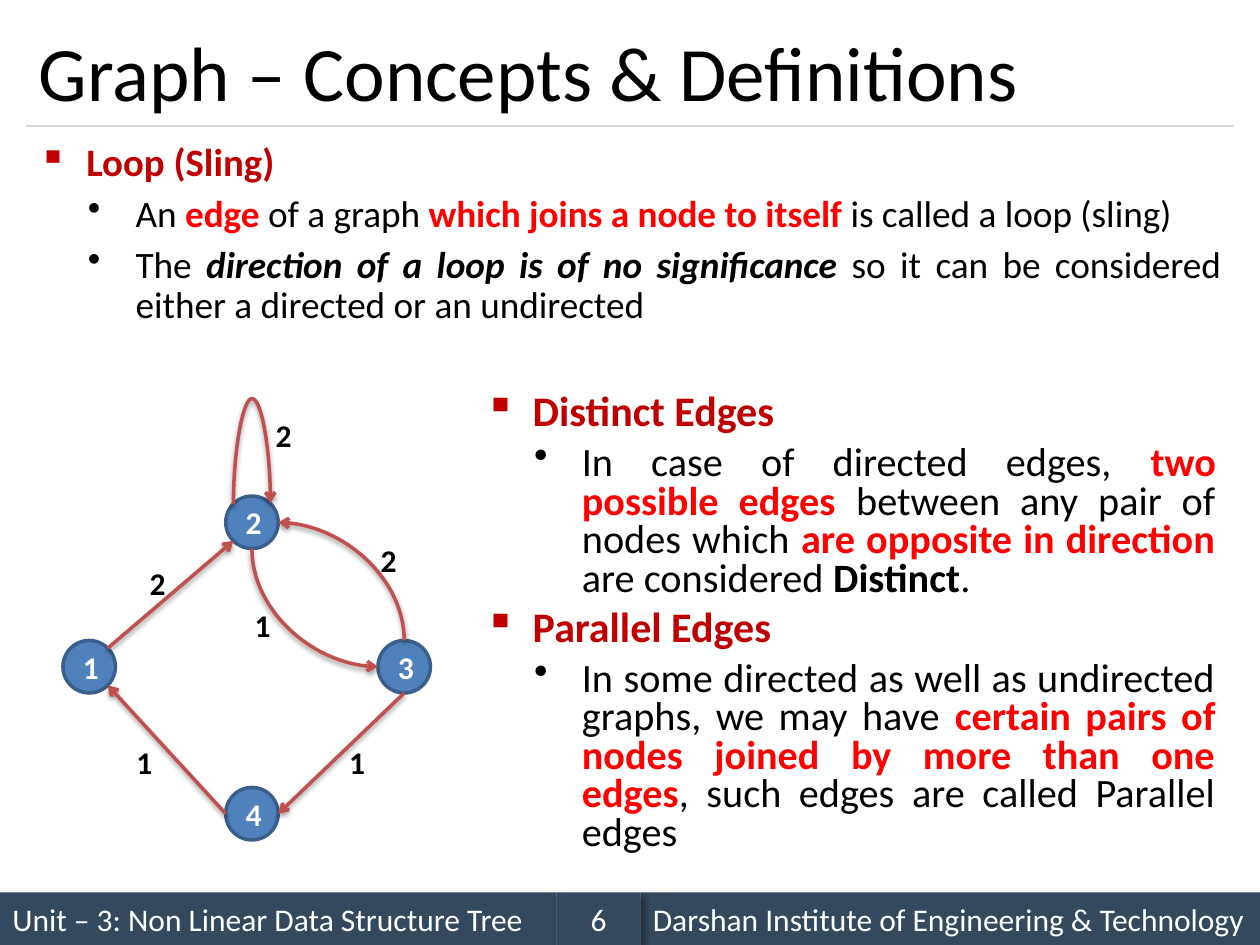
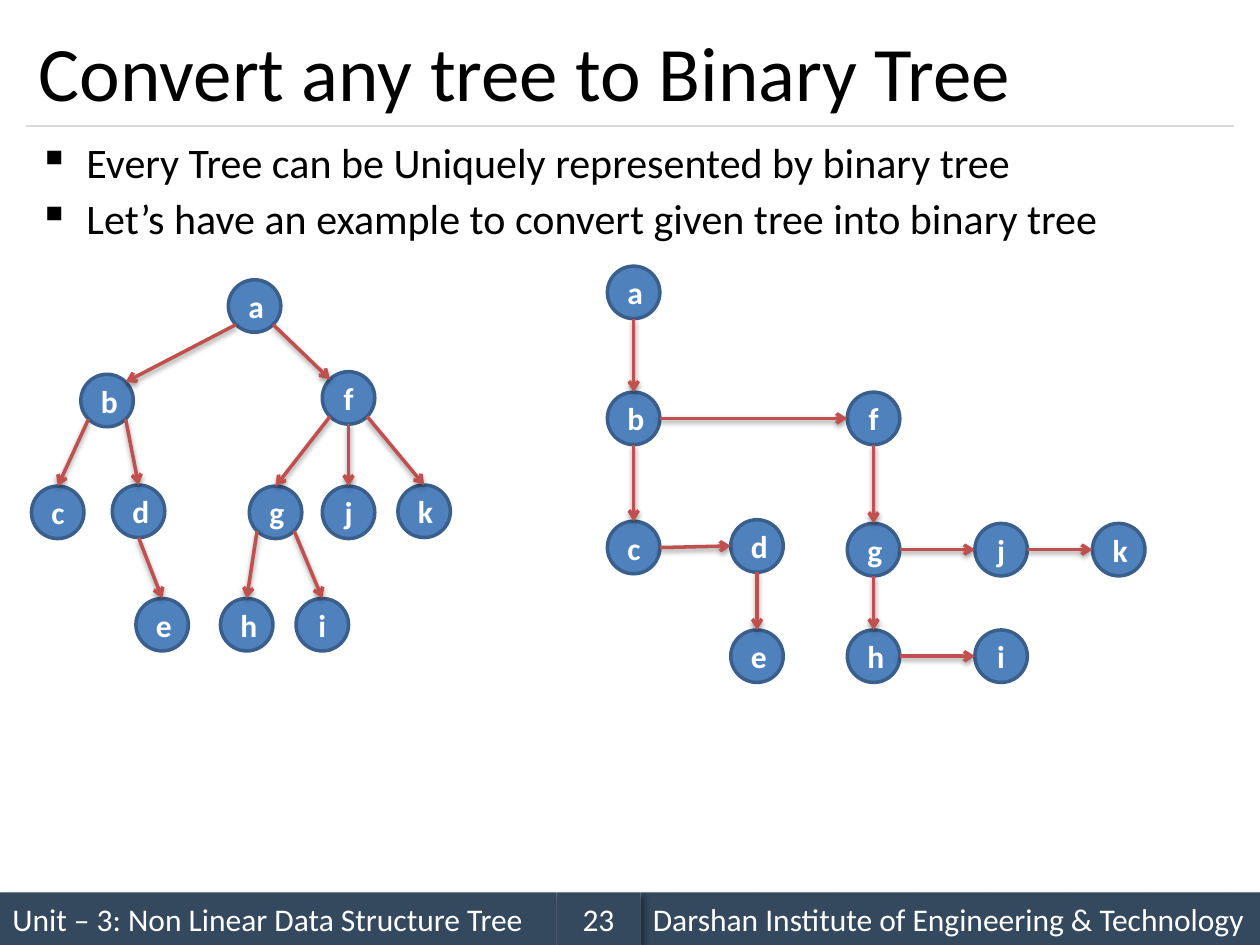
"""Build two lecture slides on graphs and trees."""
from dataclasses import dataclass
from typing import NamedTuple

from lxml.etree import SubElement
from pptx import Presentation
from pptx.dml.color import RGBColor
from pptx.enum.shapes import MSO_CONNECTOR, MSO_SHAPE
from pptx.enum.text import MSO_ANCHOR, MSO_AUTO_SIZE, PP_ALIGN
from pptx.oxml.ns import qn
from pptx.util import Inches, Pt

RECT, OVAL = MSO_SHAPE.RECTANGLE, MSO_SHAPE.OVAL
LINE, CURVE = MSO_CONNECTOR.STRAIGHT, MSO_CONNECTOR.CURVE
LEFT, MID, FULL = PP_ALIGN.LEFT, PP_ALIGN.CENTER, PP_ALIGN.JUSTIFY
CENTER = MSO_ANCHOR.MIDDLE
GROW = MSO_AUTO_SIZE.SHAPE_TO_FIT_TEXT

WIDE, HIGH = Inches(10), Inches(7.5)
COLS, ROWS = 240, 180
RAD = 5
DIAG = RAD * 0.5 ** 0.5
SIDES = {"n": (0, -RAD), "s": (0, RAD), "w": (-RAD, 0), "e": (RAD, 0),
         "nw": (-DIAG, -DIAG), "ne": (DIAG, -DIAG),
         "sw": (-DIAG, DIAG), "se": (DIAG, DIAG)}
Point = tuple[float, float]


@dataclass(frozen=True)
class Theme:
    """Hold the colours and type sizes."""
    font: str = "Calibri"
    ink: str = "000000"
    paper: str = "FFFFFF"
    bar: str = "34495E"
    rule: str = "D9D9D9"
    node: str = "4F81BD"
    rim: str = "3A5F8C"
    edge: str = "C0504D"
    head: str = "C00000"
    key: str = "FF0000"
    title: float = 44
    small: float = 18


class Box(NamedTuple):
    """Place a shape in grid columns and rows."""
    x: float
    y: float
    w: float
    h: float


class Look(NamedTuple):
    """Describe the style of a run."""
    color: str
    bold: bool = False
    slant: bool = False


class Shade(NamedTuple):
    """Describe an outer shadow."""
    alpha: int
    blur: float
    dist: float
    angle: int


class Para(NamedTuple):
    """Describe a bulleted paragraph."""
    level: int
    size: float
    runs: list[tuple[str, Look]]


class Edge(NamedTuple):
    """Join a side of one node to a side of another."""
    start: str
    out: str
    end: str
    into: str


class Label(NamedTuple):
    """Place the weight of an edge."""
    text: str
    x: float
    y: float


T = Theme()
PLAIN, HEAD, KEY = Look(T.ink), Look(T.head, True), Look(T.key, True)
BOLD, SLANT = Look(T.ink, True), Look(T.ink, True, True)
BARSHADE, EDGESHADE = Shade(40, 4, 3, 45), Shade(38, 3.1, 1.6, 90)

UNIT = "Unit – 3: Non Linear Data Structure Tree"
SCHOOL = "Darshan Institute of Engineering & Technology"

LOOP = [
    Para(0, 22.2, [("Loop (Sling)", HEAD)]),
    Para(1, 21.3, [("An ", PLAIN), ("edge", KEY), (" of a graph ", PLAIN),
                   ("which joins a node to itself ", KEY),
                   ("is called a loop (sling)", PLAIN)]),
    Para(1, 21.3, [("The", PLAIN),
                   (" direction of a loop is of no significance", SLANT),
                   (" so it can be considered either a directed or an "
                    "undirected", PLAIN)])]
PAIRS = [
    Para(0, 24, [("Distinct Edges", HEAD)]),
    Para(1, 23, [("In case of directed edges,", PLAIN),
                 (" two possible edges", KEY),
                 (" between any pair of nodes which ", PLAIN),
                 ("are opposite in direction ", KEY),
                 ("are considered ", PLAIN), ("Distinct", BOLD),
                 (".", PLAIN)]),
    Para(0, 24, [("Parallel Edges", HEAD)]),
    Para(1, 23, [("In some directed as well as undirected graphs, "
                  "we may have ", PLAIN),
                 ("certain pairs of nodes joined by more than one edges", KEY),
                 (", such edges are called Parallel edges", PLAIN)])]
INTRO = [Para(0, 24, [(text, PLAIN)]) for text in (
    "Every Tree can be Uniquely represented by binary tree",
    "Let’s have an example to convert given tree into binary tree")]

GRAPH = {"1": (17, 127), "2": (48, 99.5), "3": (77, 127), "4": (48, 155)}
PATHS = [Edge("1", "ne", "2", "sw"), Edge("4", "w", "1", "se"),
         Edge("3", "s", "4", "e")]
ARCS = [Edge("2", "e", "3", "n"), Edge("3", "w", "2", "s")]
COSTS = [Label("2", 26, 106.3), Label("2", 70, 101.8), Label("1", 46, 114.2),
         Label("1", 64, 140.4), Label("1", 23.5, 140.4), Label("2", 50, 78)]

TREE = {"a": (48.5, 58.3), "b": (20.4, 76.3), "f": (66.4, 75.8),
        "c": (11, 97.6), "d": (26.4, 97.4), "g": (52.5, 97.6),
        "j": (66.4, 97.6), "k": (80.8, 97.4), "e": (30.9, 119),
        "h": (47, 119), "i": (61.4, 119)}
LIMBS = [Edge("a", "sw", "b", "ne"), Edge("a", "se", "f", "nw")] + [
    Edge(top, out, leaf, "n") for top, out, leaf in (
        ("b", "sw", "c"), ("b", "se", "d"), ("f", "sw", "g"), ("f", "s", "j"),
        ("f", "se", "k"), ("g", "sw", "h"), ("g", "se", "i"), ("d", "s", "e"))]

C1, C2, C3, C4, C5 = 120.7, 144.2, 166.4, 190.7, 213.1
R1, R2, R3, R4 = 55.7, 79.7, 104.7, 125
BINARY = {"a": (C1, R1), "b": (C1, R2), "f": (C3, R2), "c": (C1, 104.3),
          "d": (C2, 104), "g": (C3, R3), "j": (C4, R3), "k": (C5, R3),
          "e": (C2, R4), "h": (C3, R4), "i": (C4, R4)}
LINKS = ([Edge(*pair[:1], "s", pair[1], "n") for pair in
          ("ab", "bc", "fg", "gh", "de")]
         + [Edge(*pair[:1], "e", pair[1], "w") for pair in
            ("bf", "cd", "gj", "jk", "hi")])


def col(n: float) -> int:
    """Turn grid columns into a length."""
    return round(WIDE * n / COLS)


def row(n: float) -> int:
    """Turn grid rows into a length."""
    return round(HIGH * n / ROWS)


def place(box: Box) -> tuple[int, int, int, int]:
    """Turn a grid box into lengths."""
    return col(box.x), row(box.y), col(box.w), row(box.h)


def ink(run, size: float, look: Look) -> None:
    """Format one run."""
    font = run.font
    font.name, font.size = T.font, Pt(size)
    font.bold, font.italic = look.bold, look.slant
    font.color.rgb = RGBColor.from_string(look.color)


def label(frame, text: str, size: float, look: Look, align=MID) -> None:
    """Write one line of text in a frame."""
    frame.text = text
    para = frame.paragraphs[0]
    para.alignment = align
    ink(para.runs[0], size, look)


def cast(item, shade: Shade | None) -> None:
    """Give an item its own shadow, or none."""
    props = item.element.spPr
    for old in props.findall(qn("a:effectLst")):
        props.remove(old)
    effects = SubElement(props, qn("a:effectLst"))
    if shade:
        outer = SubElement(
            effects, qn("a:outerShdw"), blurRad=str(Pt(shade.blur)),
            dist=str(Pt(shade.dist)), dir=str(shade.angle * 60000),
            algn="ctr", rotWithShape="0")
        tint = SubElement(outer, qn("a:srgbClr"), val=T.ink)
        SubElement(tint, qn("a:alpha"), val=str(shade.alpha * 1000))


def solid(slide, kind, box: Box, fill: str):
    """Draw a filled shape without a shadow."""
    shape = slide.shapes.add_shape(kind, *place(box))
    shape.shadow.inherit = False
    shape.fill.solid()
    shape.fill.fore_color.rgb = RGBColor.from_string(fill)
    shape.text_frame.vertical_anchor = CENTER
    return shape


def wire(slide, kind, start: Point, end: Point, color: str, width: float):
    """Draw a connector without a shadow."""
    line = slide.shapes.add_connector(
        kind, col(start[0]), row(start[1]), col(end[0]), row(end[1]))
    line.line.color.rgb = RGBColor.from_string(color)
    line.line.width = Pt(width)
    cast(line, None)
    return line


def arrow(slide, kind, start: Point, end: Point, tip: str = "tailEnd"):
    """Draw an edge with an arrowhead."""
    line = wire(slide, kind, start, end, T.edge, 2)
    SubElement(line.element.spPr.find(qn("a:ln")), qn(f"a:{tip}"), type="arrow")
    cast(line, EDGESHADE)
    return line


def port(nodes: dict[str, Point], name: str, side: str) -> Point:
    """Find a point on the rim of a node."""
    (x, y), (dx, dy) = nodes[name], SIDES[side]
    return x + dx, y + dy


def ends(nodes: dict[str, Point], edge: Edge) -> tuple[Point, Point]:
    """Find both ends of an edge."""
    return port(nodes, edge.start, edge.out), port(nodes, edge.end, edge.into)


def graph(slide, nodes: dict[str, Point], edges: list[Edge]) -> None:
    """Draw nodes and their straight edges."""
    for name, (x, y) in nodes.items():
        disc = solid(slide, OVAL, Box(x - RAD, y - RAD, 2 * RAD, 2 * RAD), T.node)
        disc.line.color.rgb = RGBColor.from_string(T.rim)
        disc.line.width = Pt(2)
        label(disc.text_frame, name, T.small, Look(T.paper, True))
    for edge in edges:
        arrow(slide, LINE, *ends(nodes, edge))


def arc(slide, nodes: dict[str, Point], edge: Edge) -> None:
    """Draw a quarter bend with its arrowhead at the start."""
    line = arrow(slide, CURVE, *ends(nodes, edge), tip="headEnd")
    line.element.spPr.prstGeom.set("prst", "curvedConnector2")


def loop(slide, nodes: dict[str, Point], name: str, rise: float) -> None:
    """Draw a loop that rises above a node."""
    x, y = nodes[name]
    thin, top = 0.25, y - DIAG
    line = arrow(slide, CURVE, (x + thin / 2, top + DIAG),
                 (x - thin / 2, top - DIAG))
    line.element.spPr.find(qn("a:xfrm")).set("rot", str(90 * 60000))
    guides = line.element.spPr.prstGeom.get_or_add_avLst()
    SubElement(guides, qn("a:gd"), name="adj1",
               fmla=f"val {round(rise / thin * 100000)}")


def prose(slide, box: Box, paras: list[Para], gap: float) -> None:
    """Write bulleted paragraphs."""
    frame = slide.shapes.add_textbox(*place(box)).text_frame
    frame.word_wrap = True
    for i, item in enumerate(paras):
        para = frame.add_paragraph() if i else frame.paragraphs[0]
        para.level, para.alignment = item.level, FULL
        para.line_spacing, para.space_before = gap, Pt(6 if i else 0)
        props = para._p.get_or_add_pPr()
        props.set("marL", str(Inches((0.38, 0.77)[item.level])))
        props.set("indent", str(-Inches(0.38)))
        SubElement(props, qn("a:buChar"), char="▪•"[item.level])
        for text, look in item.runs:
            run = para.add_run()
            run.text = text
            ink(run, item.size, look)


def page(deck, title: str, number: int):
    """Add a slide with its title, rule and footer."""
    slide = deck.slides.add_slide(deck.slide_layouts[5])
    head = slide.shapes.title
    head.left, head.top, head.width, head.height = place(Box(5, 3, 230, 21))
    head.text_frame.vertical_anchor = CENTER
    label(head.text_frame, title, T.title, PLAIN, LEFT)
    wire(slide, LINE, (5, 24), (235, 24), T.rule, 0.75)
    for x, w, text, align in ((0, 106, UNIT, LEFT), (122, 118, SCHOOL, LEFT),
                              (106, 16, str(number), MID)):
        bar = solid(slide, RECT, Box(x, 170, w, 10), T.bar)
        bar.line.fill.background()
        cast(bar, BARSHADE)
        label(bar.text_frame, text, T.small, Look(T.paper), align)
    return slide


def main() -> None:
    """Build and save the deck."""
    deck = Presentation()
    deck.slide_width, deck.slide_height = WIDE, HIGH

    slide = page(deck, "Graph – Concepts & Definitions", 6)
    prose(slide, Box(5, 26, 230, 42), LOOP, 0.9)
    graph(slide, GRAPH, PATHS)
    for edge in ARCS:
        arc(slide, GRAPH, edge)
    loop(slide, GRAPH, "2", 20.5)
    for text, x, y in COSTS:
        frame = slide.shapes.add_textbox(*place(Box(x, y, 8, 9.6))).text_frame
        frame.word_wrap, frame.auto_size = False, GROW
        label(frame, text, T.small, BOLD)
    prose(slide, Box(90, 74, 144, 94), PAIRS, 0.8)

    slide = page(deck, "Convert any tree to Binary Tree", 23)
    prose(slide, Box(5, 26, 230, 26), INTRO, 0.9)
    graph(slide, TREE, LIMBS)
    graph(slide, BINARY, LINKS)
    deck.save("out.pptx")


if __name__ == "__main__":
    main()
